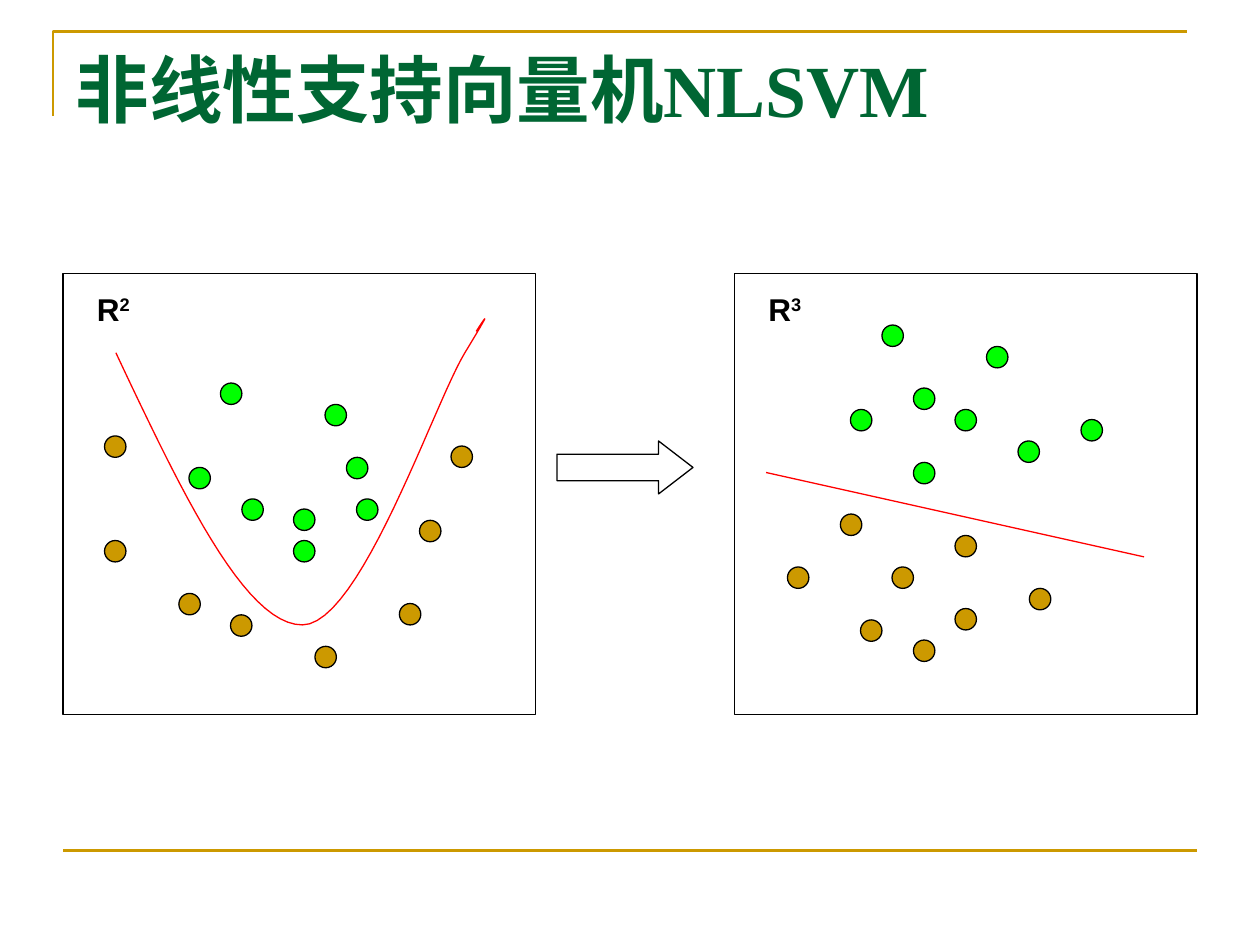
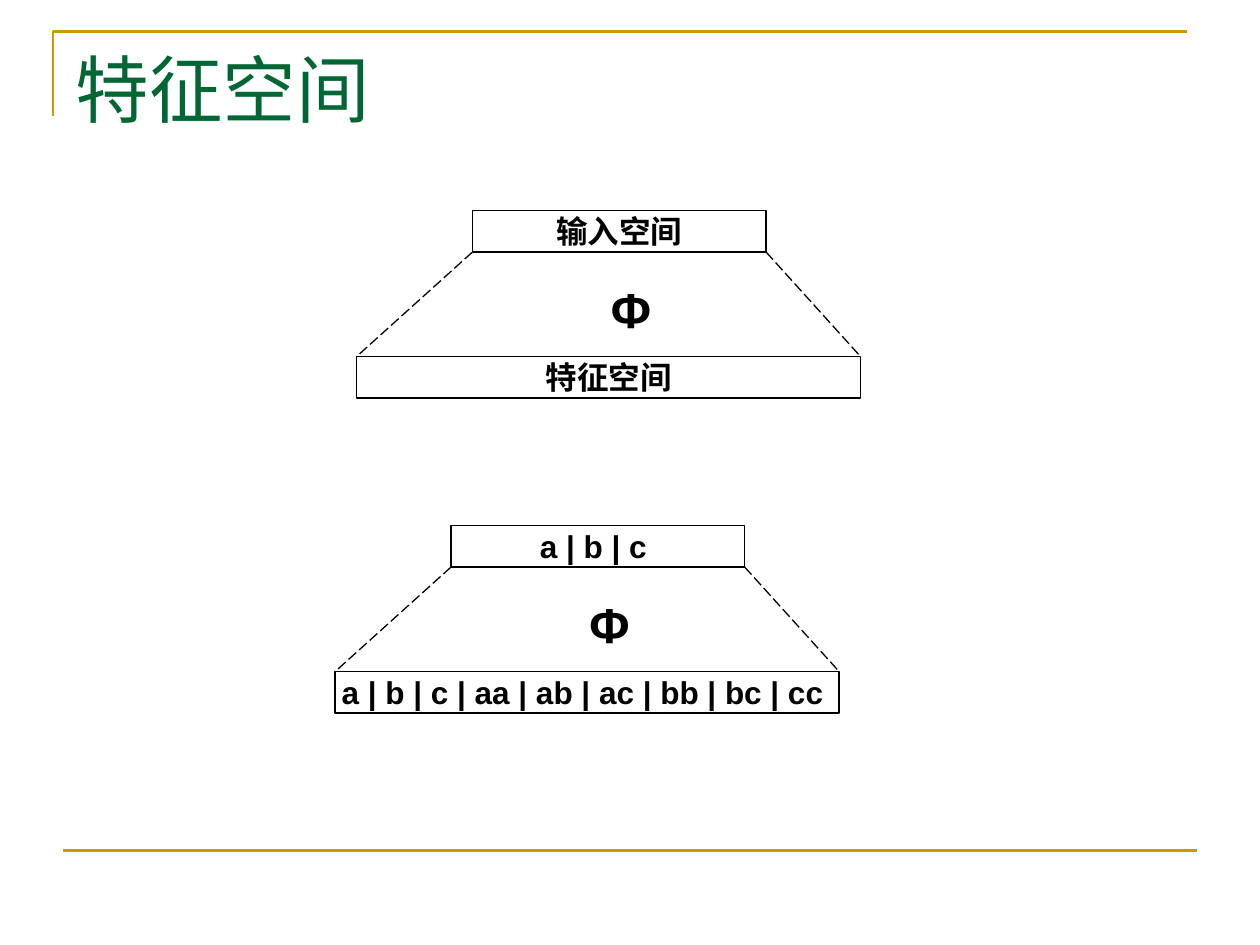
from lxml import etree
from pptx import Presentation
from pptx.dml.color import RGBColor
from pptx.enum import dml, shapes, text
from pptx.oxml import ns
from pptx.util import Inches, Pt

GOLD, GREEN, LIME, RED, BLACK, WHITE = (
    "CC9900", "006633", "00FF00", "FF0000", "000000", "FFFFFF")
DOT = 0.17
CURVE_STEPS = 24

TITLES = [("非线性支持向量机NLSVM", True), ("特征空间", False)]

SPACES = [
    {
        "frame": (0.5, 2.17, 3.75, 3.5),
        "exponent": "2",
        "dots": {
            GOLD: [(0.83, 3.46), (0.83, 4.29), (1.83, 4.88), (1.42, 4.71),
                   (2.5, 5.13), (3.17, 4.79), (3.58, 3.54), (3.33, 4.13)],
            LIME: [(1.75, 3.04), (1.5, 3.71), (1.92, 3.96), (2.33, 4.04),
                   (2.75, 3.63), (2.83, 3.96), (2.33, 4.29), (2.58, 3.21)],
        },
    },
    {
        "frame": (5.83, 2.17, 3.67, 3.5),
        "exponent": "3",
        "dots": {
            LIME: [(7, 2.58), (6.75, 3.25), (7.25, 3.08), (7.58, 3.25),
                   (8.58, 3.33), (8.08, 3.5), (7.25, 3.67), (7.83, 2.75)],
            GOLD: [(6.67, 4.08), (6.25, 4.5), (7.25, 5.08), (6.83, 4.92),
                   (7.58, 4.83), (7.08, 4.5), (7.58, 4.25), (8.17, 4.67)],
        },
    },
]
BOUNDARY_CURVE = [
    (0.92, 2.8), (1.43, 3.88), (1.94, 4.96), (2.4, 4.96), (2.86, 4.96),
    (3.45, 3.19), (3.69, 2.8), (3.92, 2.42), (3.85, 2.52), (3.78, 2.63)]
BOUNDARY_LINE = ((6.08, 3.75), (9.08, 4.42))

MAPPINGS = [
    (3.75, 1.67, "输入空间", "特征空间"),
    (3.58, 4.17, "a | b | c ", "a | b | c | aa | ab | ac | bb | bc | cc "),
]
INPUT_WIDTH, FEATURE_WIDTH, BAR_HEIGHT = 2.33, 4, 0.33
FEATURE_SHIFT, FEATURE_DROP = -0.92, 1.16


def rgb(value):
    return RGBColor.from_string(value)


def inches(values):
    return [Inches(value) for value in values]


def style_line(line, color, width=0.75):
    line.color.rgb = rgb(color)
    line.width = Pt(width)


def write(frame, words, size, color=BLACK, bold=True, font="Arial",
          align=text.PP_ALIGN.LEFT, anchor=text.MSO_ANCHOR.TOP, wrap=True):
    layout = {"word_wrap": wrap, "vertical_anchor": anchor,
              "auto_size": text.MSO_AUTO_SIZE.NONE,
              "margin_left": Inches(0.1), "margin_right": Inches(0.1),
              "margin_top": Inches(0.05), "margin_bottom": Inches(0.05)}
    for key, value in layout.items():
        setattr(frame, key, value)
    paragraph = frame.paragraphs[0]
    paragraph.alignment = align
    run = paragraph.add_run()
    run.text = words
    for key, value in {"size": Pt(size), "bold": bold, "name": font}.items():
        setattr(run.font, key, value)
    run.font.color.rgb = rgb(color)
    return paragraph


def add_label(slide, box, words, size):
    return write(slide.shapes.add_textbox(*inches(box)).text_frame, words, size)


def add_outline(slide, kind, box, fill=WHITE):
    outline = slide.shapes.add_shape(kind, *inches(box))
    outline.shadow.inherit = False
    outline.fill.solid()
    outline.fill.fore_color.rgb = rgb(fill)
    style_line(outline.line, BLACK)
    return outline


def add_path(slide, points, color, width=0.75):
    start, *rest = [inches(point) for point in points]
    builder = slide.shapes.build_freeform(*start)
    builder.add_line_segments(rest, close=False)
    path = builder.convert_to_shape()
    path.shadow.inherit = False
    path.fill.background()
    style_line(path.line, color, width)


def add_line(slide, start, end, color=BLACK, width=0.75, dash=None):
    line = slide.shapes.add_connector(
        shapes.MSO_CONNECTOR.STRAIGHT, *inches(start + end))
    style_line(line.line, color, width)
    if dash:
        line.line.dash_style = dash
    etree.SubElement(line._element.spPr, ns.qn("a:effectLst"))


def bezier_points(controls):
    points = [controls[0]]
    for first in range(0, len(controls) - 1, 3):
        corners = controls[first:first + 4]
        for step in range(1, CURVE_STEPS + 1):
            t = step / CURVE_STEPS
            weights = ((1 - t) ** 3, 3 * t * (1 - t) ** 2,
                       3 * t * t * (1 - t), t ** 3)
            points.append(tuple(sum(w * c for w, c in zip(weights, axis))
                                for axis in zip(*corners)))
    return points


def add_slide(deck, title, bold):
    slide = deck.slides.add_slide(deck.slide_layouts[5])
    add_path(slide, [(0.42, 0.92), (0.42, 0.25), (9.42, 0.25)], GOLD, 1.5)
    add_line(slide, (0.5, 6.75), (9.5, 6.75), GOLD, 1.5)
    heading = slide.shapes.title
    heading.left, heading.top, heading.width, heading.height = inches(
        (0.5, 0.3, 9, 0.8))
    write(heading.text_frame, title, 42, GREEN, bold, "Times New Roman",
          anchor=text.MSO_ANCHOR.MIDDLE)
    return slide


def add_space(slide, space):
    left, top, _, _ = space["frame"]
    add_outline(slide, shapes.MSO_SHAPE.RECTANGLE, space["frame"])
    for color, corners in space["dots"].items():
        for x, y in corners:
            add_outline(slide, shapes.MSO_SHAPE.OVAL, (x, y, DOT, DOT), color)
    name = add_label(slide, (left + 0.17, top + 0.08, 0.58, 0.4), "R", 18)
    exponent = name.add_run()
    exponent.text = space["exponent"]
    for key, value in {"size": Pt(18), "bold": True, "name": "Arial"}.items():
        setattr(exponent.font, key, value)
    exponent.font.color.rgb = rgb(BLACK)
    exponent.font._element.set("baseline", "30000")


def add_bar(slide, left, top, width, words):
    bar = add_outline(slide, shapes.MSO_SHAPE.RECTANGLE,
                      (left, top, width, BAR_HEIGHT))
    write(bar.text_frame, words, 18, align=text.PP_ALIGN.CENTER,
          anchor=text.MSO_ANCHOR.MIDDLE, wrap=False)


def add_mapping(slide, left, top, source, features):
    feature_left, feature_top = left + FEATURE_SHIFT, top + FEATURE_DROP
    add_bar(slide, left, top, INPUT_WIDTH, source)
    add_bar(slide, feature_left, feature_top, FEATURE_WIDTH, features)
    for x, feature_x in ((left, feature_left),
                         (left + INPUT_WIDTH, feature_left + FEATURE_WIDTH)):
        add_line(slide, (x, top + BAR_HEIGHT), (feature_x, feature_top),
                 dash=dml.MSO_LINE.LONG_DASH)
    add_label(slide, (left + 1, top + 0.5, 0.75, 0.57), "Φ", 28)


def main():
    deck = Presentation()
    deck.slide_width, deck.slide_height = Inches(10), Inches(7.5)
    svm, feature_space = [add_slide(deck, *title) for title in TITLES]

    for space in SPACES:
        add_space(svm, space)
    add_path(svm, bezier_points(BOUNDARY_CURVE), RED)
    add_line(svm, *BOUNDARY_LINE, color=RED)
    arrow = add_outline(svm, shapes.MSO_SHAPE.RIGHT_ARROW,
                        (4.42, 3.5, 1.08, 0.42))
    arrow.adjustments[0], arrow.adjustments[1] = 0.5, 0.65

    for mapping in MAPPINGS:
        add_mapping(feature_space, *mapping)

    deck.save("out.pptx")


if __name__ == "__main__":
    main()
